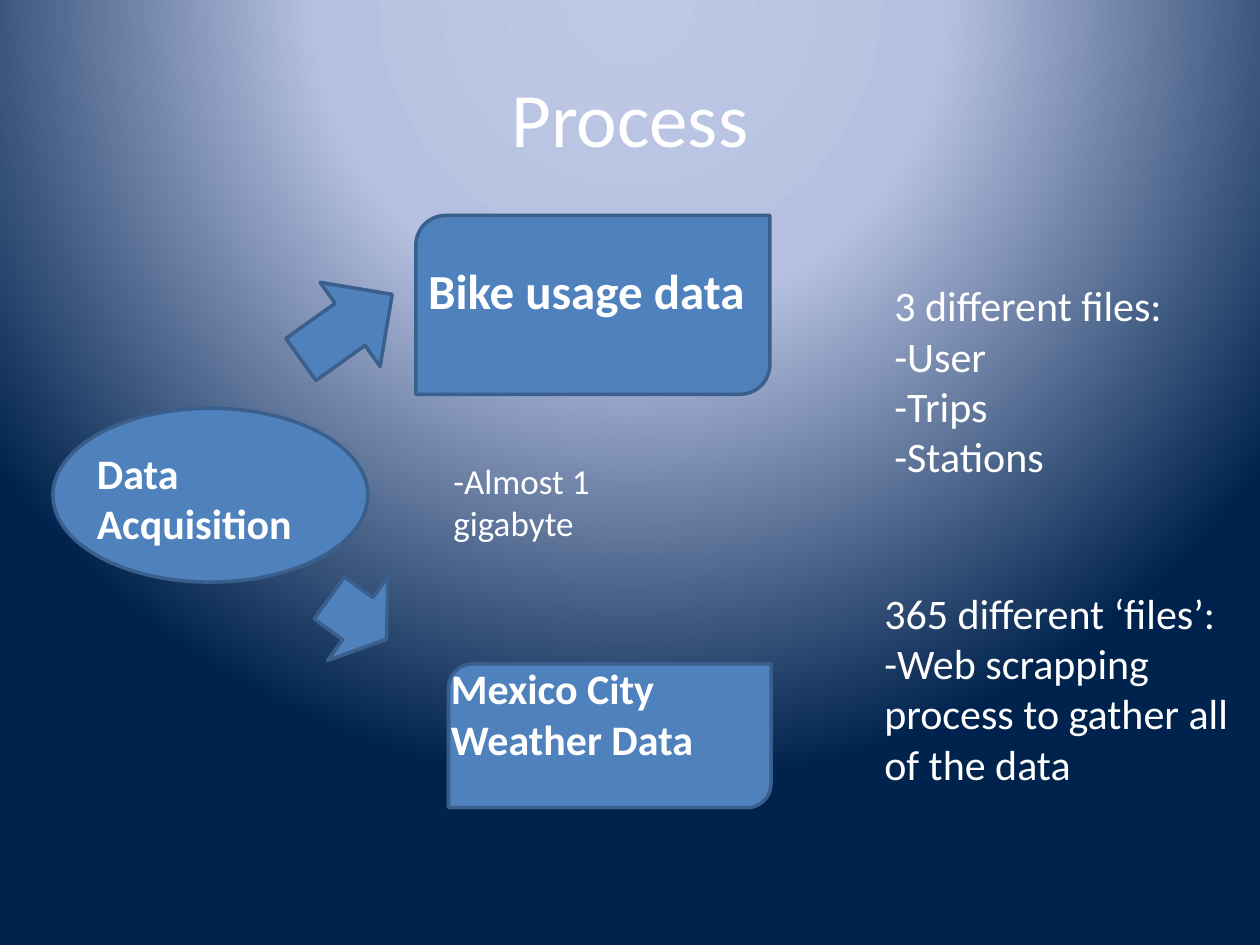
"""Build the Process slide: data acquisition leading to two data sources."""
from dataclasses import dataclass

import pptx
import pptx.dml.color
import pptx.enum.shapes
import pptx.enum.text
import pptx.oxml
import pptx.oxml.ns
import pptx.util

WIDTH, HEIGHT = 10, 7.5
COLUMNS, ROWS = 100, 75
FONT, WHITE, BLUE, EDGE = "Calibri", "FFFFFF", "4F81BD", "3A5F8C"
STOPS = [(0, "BFC9E5"), (40, "B5C0E0"), (100, "00234D")]
MSO = pptx.enum.shapes.MSO_SHAPE


@dataclass
class Box:
    """A frame in grid columns and rows."""
    col: float
    row: float
    cols: float
    rows: float

    def emu(self) -> list[int]:
        """Return left, top, width and height as slide lengths."""
        dx, dy = WIDTH / COLUMNS, HEIGHT / ROWS
        return [pptx.util.Inches(v) for v in
                (self.col * dx, self.row * dy, self.cols * dx, self.rows * dy)]


@dataclass
class Figure:
    """A blue preset shape."""
    kind: MSO
    box: Box
    rotation: float = 0


@dataclass
class Label:
    """A white text box."""
    text: str
    box: Box
    size: int = 24
    bold: bool = False
    title: bool = False


FIGURES = [
    Figure(MSO.OVAL, Box(4.2, 32.4, 25, 13.8)),
    Figure(MSO.ROUND_2_DIAG_RECTANGLE, Box(33, 17.1, 28.1, 14.2)),
    Figure(MSO.ROUND_2_DIAG_RECTANGLE, Box(35.6, 52.7, 25.6, 11.4)),
    Figure(MSO.DOWN_ARROW, Box(23.4, 21.5, 8.2, 8.9), 234.5),
    Figure(MSO.DOWN_ARROW, Box(24.3, 46.3, 8.2, 5.6), 305.9),
]
LABELS = [
    Label("Process", Box(5, 3, 90, 12.5), 44, title=True),
    Label("Data Acquisition", Box(6.7, 35, 20, 9.1), bold=True),
    Label("Bike usage data", Box(33, 20.2, 30, 5.7), 28, bold=True),
    Label("Mexico City Weather Data", Box(34.8, 52.1, 24.4, 9.1), bold=True),
    Label("3 different files:\n-User\n-Trips\n-Stations", Box(70, 21.7, 30, 17.2)),
    Label("365 different ‘files’:\n-Web scrapping process to gather all of the data",
          Box(69.2, 46.1, 30, 17.2)),
    Label("-Almost 1 gigabyte", Box(35, 36, 20.2, 7.7), 20),
]


def rgb(value: str) -> pptx.dml.color.RGBColor:
    """Turn a hex string into a colour."""
    return pptx.dml.color.RGBColor.from_string(value)


def paint_background(slide) -> None:
    """Give the slide a circular gradient centred above its top edge."""
    slide.background.fill.gradient()
    old = slide.element.find(".//" + pptx.oxml.ns.qn("a:gradFill"))
    stops = "".join(f'<a:gs pos="{pos * 1000}"><a:srgbClr val="{color}"/></a:gs>'
                    for pos, color in STOPS)
    new = pptx.oxml.parse_xml(
        f'<a:gradFill {pptx.oxml.ns.nsdecls("a")} rotWithShape="1">'
        f'<a:gsLst>{stops}</a:gsLst><a:path path="circle">'
        '<a:fillToRect l="50000" t="-80000" r="50000" b="180000"/>'
        '</a:path></a:gradFill>')
    old.getparent().replace(old, new)


def add_figure(slide, figure: Figure) -> None:
    """Draw one blue shape."""
    sp = slide.shapes.add_shape(figure.kind, *figure.box.emu())
    sp.rotation = figure.rotation
    sp.shadow.inherit = False
    sp.fill.solid()
    sp.fill.fore_color.rgb = rgb(BLUE)
    sp.line.color.rgb = rgb(EDGE)
    sp.line.width = pptx.util.Pt(2)


def add_label(slide, label: Label) -> None:
    """Write one text box, centred when it is the title."""
    tf = slide.shapes.add_textbox(*label.box.emu()).text_frame
    tf.word_wrap = True
    tf.text = label.text
    if label.title:
        tf.vertical_anchor = pptx.enum.text.MSO_ANCHOR.MIDDLE
    for p in tf.paragraphs:
        if label.title:
            p.alignment = pptx.enum.text.PP_ALIGN.CENTER
        for r in p.runs:
            r.font.name = FONT
            r.font.size = pptx.util.Pt(label.size)
            r.font.bold = label.bold
            r.font.color.rgb = rgb(WHITE)


def main() -> None:
    """Build and save the slide."""
    prs = pptx.Presentation()
    prs.slide_width = pptx.util.Inches(WIDTH)
    prs.slide_height = pptx.util.Inches(HEIGHT)
    slide = prs.slides.add_slide(prs.slide_layouts[6])
    paint_background(slide)
    for figure in FIGURES:
        add_figure(slide, figure)
    for label in LABELS:
        add_label(slide, label)
    prs.save("out.pptx")


main()
